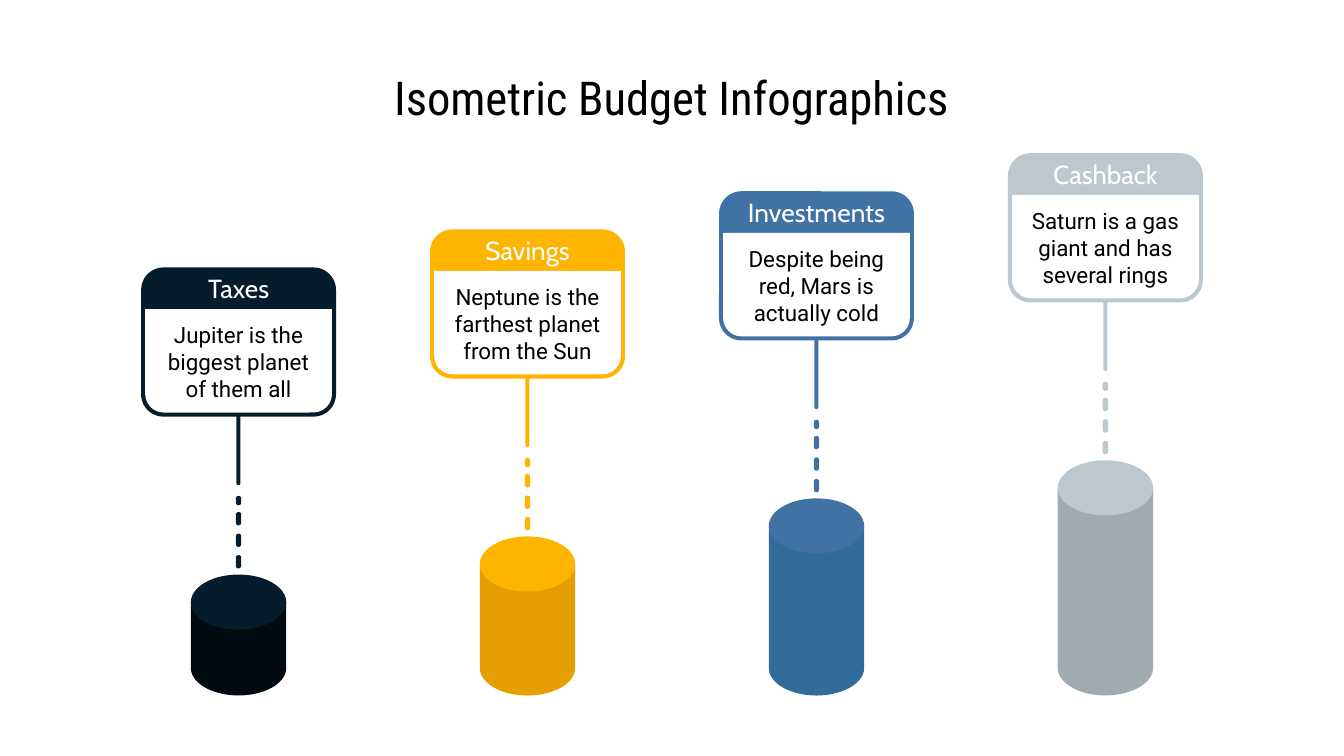
from dataclasses import dataclass
from math import cos, pi, sin

from pptx import Presentation
from pptx.dml.color import RGBColor
from pptx.enum.shapes import MSO_SHAPE
from pptx.enum.text import MSO_ANCHOR, MSO_AUTO_SIZE, PP_ALIGN
from pptx.util import Inches, Pt

ROUNDED = MSO_SHAPE.ROUNDED_RECTANGLE
ROUNDED_PAIR = MSO_SHAPE.ROUND_2_SAME_RECTANGLE
ELLIPSE = MSO_SHAPE.OVAL
MIDDLE = MSO_ANCHOR.MIDDLE
CENTER = PP_ALIGN.CENTER
NO_AUTOFIT = MSO_AUTO_SIZE.NONE


@dataclass(frozen=True)
class Theme:
    ink: str = "000000"
    paper: str = "FFFFFF"
    # One pair for each column: face, cylinder side
    columns: tuple = (
        ("051C2C", "010A0F"),
        ("FFB400", "E59F03"),
        ("4073A3", "336B99"),
        ("BCC7CE", "A1AAAF"),
    )
    title_font: str = "Roboto Condensed"
    label_font: str = "Cabin"
    body_font: str = "Roboto"
    title_size: int = 25
    label_size: int = 14
    body_size: int = 12


theme = Theme()


def write(holder, text, *, font, size, color, side=0.1, bottom=0.1):
    frame = holder.text_frame
    frame.text = text
    frame.word_wrap = True
    frame.auto_size = NO_AUTOFIT
    frame.vertical_anchor = MIDDLE
    frame.margin_left = frame.margin_right = Inches(side)
    frame.margin_top, frame.margin_bottom = Inches(0.1), Inches(bottom)
    paragraph = frame.paragraphs[0]
    paragraph.alignment = CENTER
    paragraph.font.name = font
    paragraph.font.size = Pt(size)
    paragraph.font.color.rgb = RGBColor.from_string(color)


def paint(shape, color):
    shape.shadow.inherit = False
    shape.fill.solid()
    shape.fill.fore_color.rgb = RGBColor.from_string(color)
    shape.line.fill.background()
    return shape


# A 16:9 slide
prs = Presentation()
prs.slide_width, prs.slide_height = Inches(10), Inches(10 * 9 / 16)
slide = prs.slides.add_slide(prs.slide_layouts[5])
shapes = slide.shapes

# Title
title = shapes.title
title.left, title.top = Inches(0.77), Inches(0.5)
title.width, title.height = Inches(8.45), Inches(0.44)
write(title, "Isometric Budget Infographics", font=theme.title_font,
      size=theme.title_size, color=theme.ink)

# Columns: each stands to the right of the last and rises one step higher
budget = [
    ("Taxes", "Jupiter is the biggest planet of them all"),
    ("Savings", "Neptune is the farthest planet from the Sun"),
    ("Investments", "Despite being red, Mars is actually cold"),
    ("Cashback", "Saturn is a gas giant and has several rings"),
]
FIRST_LEFT, PITCH = 1.05, 2.15
FIRST_TOP, RISE = 1.99, 0.85 / 3
CARD_W, CARD_H, HEADER_H, BORDER = 1.45, 1.11, 0.31, 0.03
RADIUS_X, RADIUS_Y, FLOOR = 0.71 / 2, 0.41 / 2, 4.97
ARC_STEPS = 36
# Width, offset from the card's top and height of each piece of the stem
stem_pieces = [(0.03, 0.81, 0.81), (0.04, 1.7, 0.07)]
stem_pieces += [(0.04, 1.82 + 0.16 * n, 0.1) for n in range(3)]

for i, ((category, fact), (face, side)) in enumerate(zip(budget, theme.columns)):
    left = FIRST_LEFT + PITCH * i
    center = left + CARD_W / 2
    top = FIRST_TOP - RISE * i

    # Stem: a solid line, a dot and dashes
    for width, offset, height in stem_pieces:
        piece = shapes.add_shape(ROUNDED, Inches(center - width / 2),
                                 Inches(top + offset), Inches(width), Inches(height))
        piece.adjustments[0] = 0.5
        paint(piece, face)

    # Card: coloured frame, white body and label
    card = shapes.add_shape(ROUNDED, Inches(left), Inches(top),
                            Inches(CARD_W), Inches(CARD_H))
    card.adjustments[0] = 0.15
    paint(card, face)

    card_body = shapes.add_shape(
        ROUNDED_PAIR, Inches(left + BORDER), Inches(top + HEADER_H),
        Inches(CARD_W - 2 * BORDER), Inches(CARD_H - HEADER_H - BORDER))
    card_body.adjustments[0], card_body.adjustments[1] = 0, 0.18
    paint(card_body, theme.paper)
    write(card_body, fact, font=theme.body_font, size=theme.body_size,
          color=theme.ink, side=0.06, bottom=0.05)

    label = shapes.add_textbox(Inches(left), Inches(top),
                               Inches(CARD_W), Inches(HEADER_H))
    write(label, category, font=theme.label_font, size=theme.label_size,
          color=theme.paper)

    # Cylinder: side with a curved foot, then the elliptical top
    rim = top + 2.49
    foot = [(Inches(center + RADIUS_X * cos(pi * n / ARC_STEPS)),
             Inches(FLOOR + RADIUS_Y * sin(pi * n / ARC_STEPS)))
            for n in range(ARC_STEPS + 1)]
    outline = shapes.build_freeform(Inches(center - RADIUS_X), Inches(rim))
    outline.add_line_segments([(Inches(center + RADIUS_X), Inches(rim)), *foot])
    paint(outline.convert_to_shape(), side)

    lid = shapes.add_shape(ELLIPSE, Inches(center - RADIUS_X), Inches(rim - RADIUS_Y),
                           Inches(2 * RADIUS_X), Inches(2 * RADIUS_Y))
    paint(lid, face)

prs.save("out.pptx")
